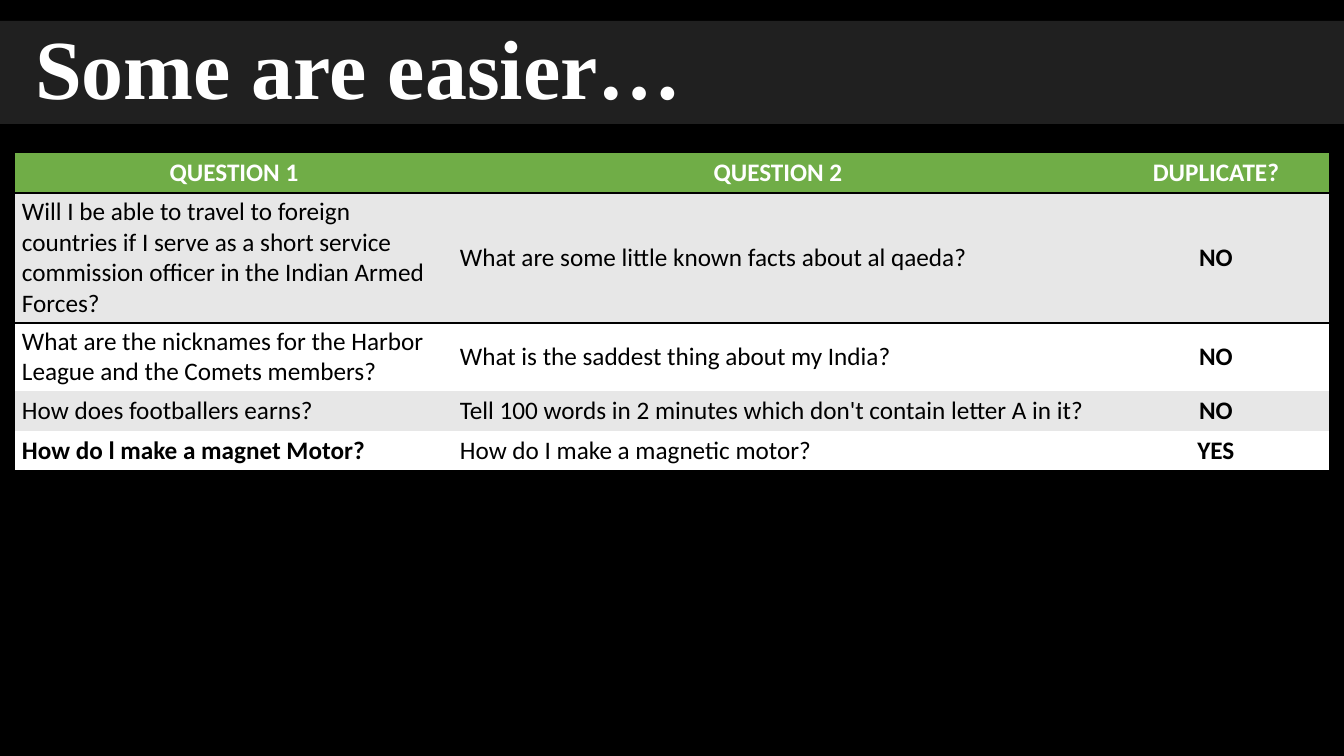
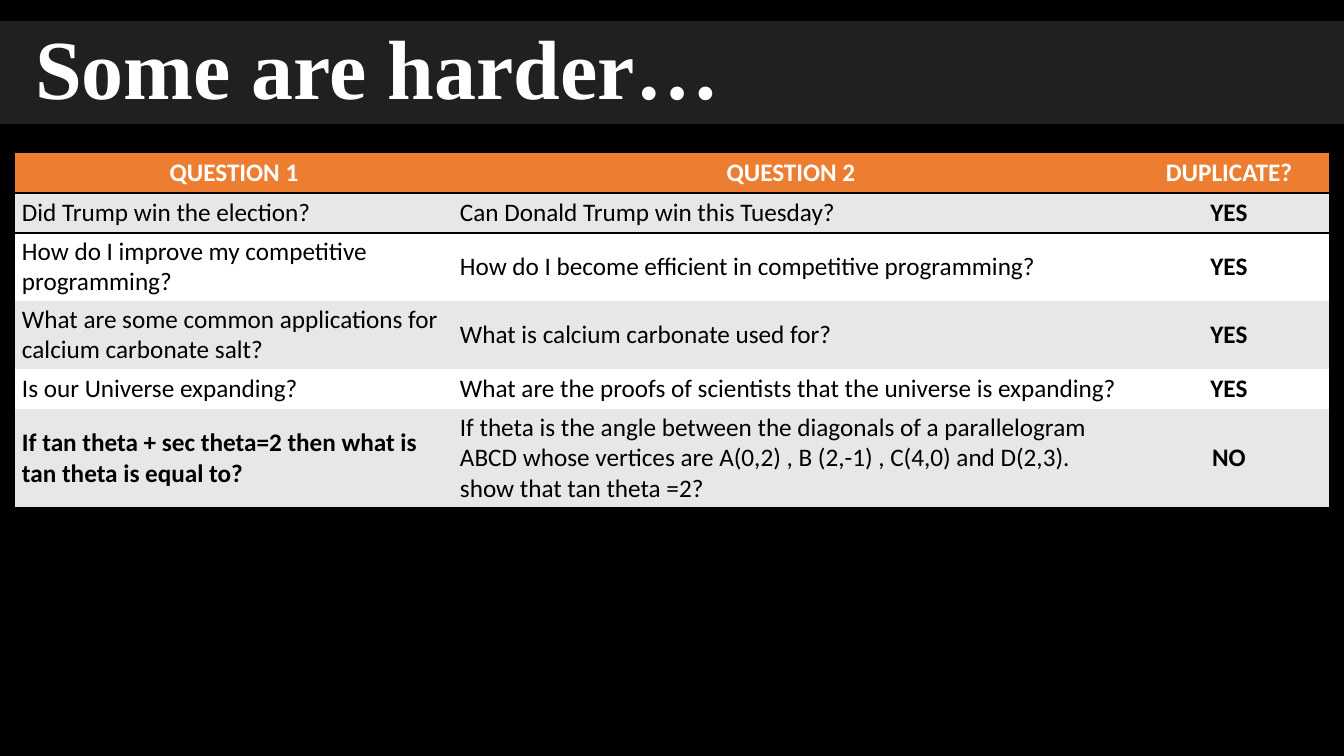
import pptx
import pptx.dml.color
import pptx.enum.shapes
import pptx.enum.text
import pptx.oxml
import pptx.oxml.ns
import pptx.util

RGBColor = pptx.dml.color.RGBColor
MIDDLE = pptx.enum.text.MSO_ANCHOR.MIDDLE
TOP = pptx.enum.text.MSO_ANCHOR.TOP
LEFT = pptx.enum.text.PP_ALIGN.LEFT
CENTER = pptx.enum.text.PP_ALIGN.CENTER

BLACK = RGBColor(0x00, 0x00, 0x00)
WHITE = RGBColor(0xFF, 0xFF, 0xFF)
CHARCOAL = RGBColor(0x20, 0x20, 0x20)
GREY = RGBColor(0xE7, 0xE7, 0xE7)
GREEN = RGBColor(0x70, 0xAD, 0x47)
ORANGE = RGBColor(0xED, 0x7D, 0x31)

SLIDE_W, SLIDE_H = 1344, 756
TABLE_LEFT, TABLE_TOP, TABLE_W = 15, 152, 1314
MIN_ROW, LINE_H, PAD_X, PAD_Y = 40, 31, 7, 3
PLAIN_TABLE = "{2D5ABB26-0587-4C30-8999-92F81FD0307C}"
HEADINGS = ("QUESTION 1", "QUESTION 2", "DUPLICATE?")

# Each row: lines of text in its tallest cell, then the three cells.
SLIDES = [
    ("Some are easier…", GREEN, (438, 650, 226), [
        (4, "Will I be able to travel to foreign countries if I serve as a short "
            "service commission officer in the Indian Armed Forces?",
         "What are some little known facts about al qaeda?", "NO"),
        (2, "What are the nicknames for the Harbor League and the Comets members?",
         "What is the saddest thing about my India?", "NO"),
        (1, "How does footballers earns?",
         "Tell 100 words in 2 minutes which don't contain letter A in it?", "NO"),
        (1, "How do l make a magnet Motor?",
         "How do I make a magnetic motor?", "YES"),
    ]),
    ("Some are harder…", ORANGE, (438, 676, 200), [
        (1, "Did Trump win the election?",
         "Can Donald Trump win this Tuesday?", "YES"),
        (2, "How do I improve my competitive programming?",
         "How do I become efficient in competitive programming?", "YES"),
        (2, "What are some common applications for calcium carbonate salt?",
         "What is calcium carbonate used for?", "YES"),
        (1, "Is our Universe expanding?",
         "What are the proofs of scientists that the universe is expanding?", "YES"),
        (3, "If tan theta + sec theta=2 then what is tan theta is equal to?",
         "If theta is the angle between the diagonals of a parallelogram ABCD whose "
         "vertices are A(0,2) , B (2,-1) , C(4,0) and D(2,3). "
         "show that tan theta =2?", "NO"),
    ]),
]


def px(length):
    return pptx.util.Emu(round(length * 12192000 / SLIDE_W))


def rule_off(cell, side):
    """Draw a 2 pt black border on one side (T or B); call before filling the cell."""
    cell._tc.get_or_add_tcPr().append(pptx.oxml.parse_xml(
        f'<a:ln{side} {pptx.oxml.ns.nsdecls("a")} w="{pptx.util.Pt(2)}">'
        f'<a:solidFill><a:srgbClr val="{BLACK}"/></a:solidFill></a:ln{side}>'))


deck = pptx.Presentation()
deck.slide_width, deck.slide_height = px(SLIDE_W), px(SLIDE_H)
backdrop = deck.slide_master.background.fill
backdrop.solid()
backdrop.fore_color.rgb = BLACK

for title, accent, widths, questions in SLIDES:
    slide = deck.slides.add_slide(deck.slide_layouts[6])

    band = slide.shapes.add_shape(pptx.enum.shapes.MSO_SHAPE.RECTANGLE,
                                  px(0), px(21), px(SLIDE_W), px(103))
    band.shadow.inherit = False
    band.fill.solid()
    band.fill.fore_color.rgb = CHARCOAL
    band.line.fill.background()
    band.text_frame.margin_left = px(35)
    band.text_frame.vertical_anchor = MIDDLE
    heading = band.text_frame.paragraphs[0]
    heading.text = title
    heading.alignment = LEFT
    heading.line_spacing = 0.9
    heading.font.name = "Times New Roman"
    heading.font.size = pptx.util.Pt(60)
    heading.font.bold = True
    heading.font.color.rgb = WHITE

    rows = [(1, *HEADINGS), *questions]
    heights = [max(MIN_ROW, lines * LINE_H + 2 * PAD_Y) for lines, *_ in rows]
    table = slide.shapes.add_table(len(rows), len(widths), px(TABLE_LEFT), px(TABLE_TOP),
                                   px(TABLE_W), px(sum(heights))).table
    table._tbl.tblPr.find(pptx.oxml.ns.qn("a:tableStyleId")).text = PLAIN_TABLE
    for column, width in zip(table.columns, widths):
        column.width = px(width)

    last = len(rows) - 1
    for r, (_, *texts) in enumerate(rows):
        table.rows[r].height = px(heights[r])
        is_header = r == 0
        for c, text in enumerate(texts):
            cell = table.cell(r, c)
            if r in (0, 1):
                rule_off(cell, "T")
            if r in (0, last):
                rule_off(cell, "B")
            cell.fill.solid()
            cell.fill.fore_color.rgb = accent if is_header else GREY if r % 2 else WHITE
            cell.vertical_anchor = TOP if is_header else MIDDLE
            if not is_header:
                cell.margin_left = cell.margin_right = px(PAD_X)
                cell.margin_top = cell.margin_bottom = px(PAD_Y)
            entry = cell.text_frame.paragraphs[0]
            entry.text = text
            entry.alignment = CENTER if is_header or c == 2 else LEFT
            entry.font.name = "Calibri"
            entry.font.size = pptx.util.Pt(18)
            entry.font.bold = is_header or c == 2 or (r == last and c == 0)
            entry.font.color.rgb = WHITE if is_header else BLACK

deck.save("out.pptx")
